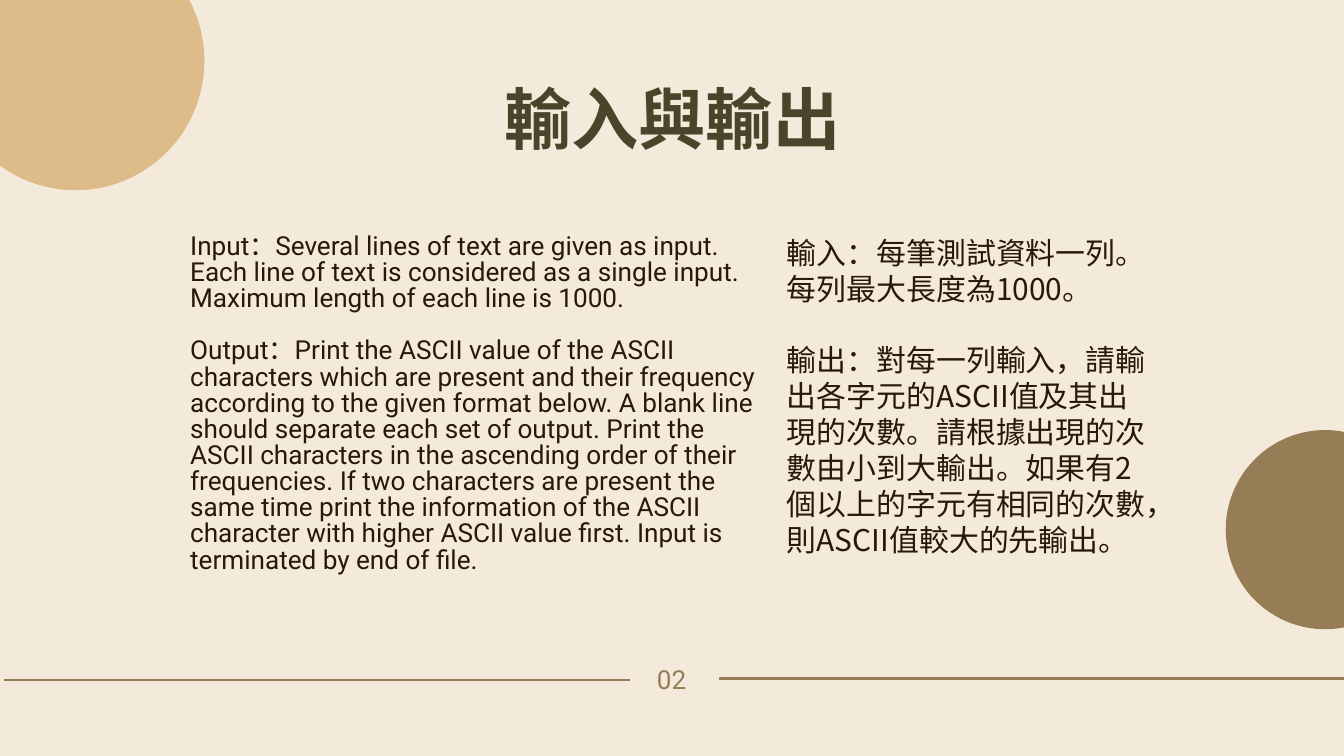
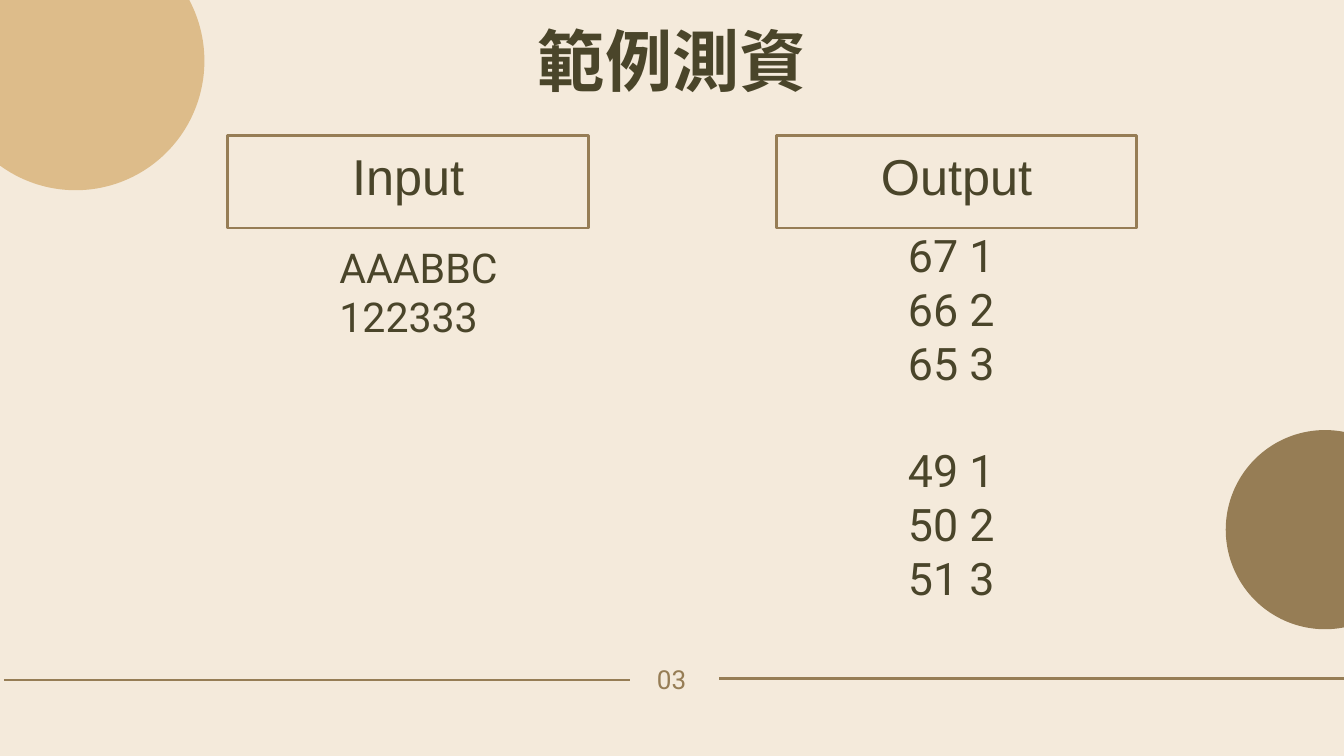
from dataclasses import dataclass
from lxml import etree
from pptx import Presentation
from pptx.dml.color import RGBColor
from pptx.enum.shapes import MSO_CONNECTOR, MSO_SHAPE
from pptx.enum.text import PP_ALIGN
from pptx.oxml.ns import qn
from pptx.util import Pt

LEFT, MID = PP_ALIGN.LEFT, PP_ALIGN.CENTER
OVAL, RECT = MSO_SHAPE.OVAL, MSO_SHAPE.RECTANGLE
STRAIGHT = MSO_CONNECTOR.STRAIGHT


@dataclass(frozen=True)
class Style:
    font: str
    size: int
    color: str
    lead: float  # exact line pitch
    align: int = LEFT
    bold: bool = False


class Theme:
    paper, tan, brown = "F4EADB", "DDBC8A", "967D55"
    olive, ink = "4A452A", "271905"
    stroke = 3
    title = Style("Noto Sans CJK SC", 72, olive, 86.4, MID, True)
    page = Style("Roboto", 28, brown, 28, MID)
    latin = Style("Roboto", 28, ink, 28)
    han = Style("Noto Sans CJK SC", 32, ink, 38.4)
    label = Style("Arial", 54, olive, 36, MID)
    given = Style("Roboto", 44, olive, 52.8)
    result = Style("Roboto", 48, olive, 57.6)


# Content: each text is a list of blocks, each block a list of paragraphs
TASK = {
    "title": "輸入與輸出", "page": "02", "top": 82.8,
    "texts": [
        ((203.8, 251.3, 619.2, 367.2), Theme.latin, [
            ["Input：Several lines of text are given as input. Each line of "
             "text is considered as a single input. Maximum length of each "
             "line is 1000."],
            ["Output：Print the ASCII value of the ASCII characters which are "
             "present and their frequency according to the given format "
             "below. A blank line should separate each set of output. Print "
             "the ASCII characters in the ascending order of their "
             "frequencies. If two characters are present the same time print "
             "the information of the ASCII character with higher ASCII value "
             "first. Input is terminated by end of file."]]),
        ((843.1, 251.3, 389.5, 349.2), Theme.han, [
            ["輸入：每筆測試資料一列。每列最大長度為1000。"],
            ["輸出：對每一列輸入，請輸出各字元的ASCII值及其出現的次數。"
             "請根據出現的次數由小到大輸出。如果有2個以上的字元有相同的次數，"
             "則ASCII值較大的先輸出。"]]),
    ],
}
SAMPLE = {
    "title": "範例測資", "page": "03", "top": 20.9,
    "labels": [(244.1, "Input"), (831.6, "Output")],
    "texts": [
        ((363.6, 259.2, 200.2, 106.6), Theme.given, [["AAABBC", "122333"]]),
        ((972.7, 244.1, 200.2, 406.8), Theme.result,
         [["67 1", "66 2", "65 3"], ["49 1", "50 2", "51 3"]]),
    ],
}
RULES = [(770.4, 727.2, 1440), (4.3, 728.6, 674.6)]  # left, y, right
DISCS = [((1313.3, 460.8, 212.8, 213.4), Theme.brown),
         ((-57, -73.4, 276, 277.2), Theme.tan)]


def rgb(code):
    return RGBColor.from_string(code)


def points(box):
    return [Pt(n) for n in box]


def add_text(slide, box, style, blocks):
    frame = slide.shapes.add_textbox(*points(box)).text_frame
    frame.word_wrap = True
    frame.margin_left = frame.margin_right = 0
    frame.margin_top = frame.margin_bottom = 0
    lines = [(text, b > 0 and i == 0)
             for b, block in enumerate(blocks) for i, text in enumerate(block)]
    for n, (text, gap) in enumerate(lines):
        para = frame.add_paragraph() if n else frame.paragraphs[0]
        para.text = text
        para.alignment = style.align
        para.line_spacing = Pt(style.lead)
        if gap:
            para.space_before = Pt(style.lead)
        font = para.font
        font.name, font.size, font.bold = style.font, Pt(style.size), style.bold
        font.color.rgb = rgb(style.color)
        # East Asian glyphs take the same face
        props = para._p.pPr.find(qn("a:defRPr"))
        etree.SubElement(props, qn("a:ea"), typeface=style.font)


def add_rule(slide, left, y, right):
    rule = slide.shapes.add_connector(STRAIGHT, *points((left, y, right, y)))
    rule.line.color.rgb = rgb(Theme.brown)
    rule.line.width = Pt(Theme.stroke)
    etree.SubElement(rule._element.spPr, qn("a:effectLst"))


def add_disc(slide, box, color):
    disc = slide.shapes.add_shape(OVAL, *points(box))
    disc.shadow.inherit = False
    disc.fill.solid()
    disc.fill.fore_color.rgb = rgb(color)
    disc.line.fill.background()


def add_label(slide, left, text):
    frame = slide.shapes.add_shape(RECT, *points((left, 145.4, 386.3, 99)))
    frame.shadow.inherit = False
    frame.fill.background()
    frame.line.color.rgb = rgb(Theme.brown)
    frame.line.width = Pt(Theme.stroke)
    add_text(slide, (left + 61.2, 184.3, 264.2, 42.5), Theme.label, [[text]])


def add_page(deck, data):
    slide = deck.slides.add_slide(deck.slide_layouts[6])
    slide.background.fill.solid()
    slide.background.fill.fore_color.rgb = rgb(Theme.paper)
    # Footer and corner discs
    for rule in RULES:
        add_rule(slide, *rule)
    add_text(slide, (653, 716.4, 133.2, 28), Theme.page, [[data["page"]]])
    for box, color in DISCS:
        add_disc(slide, box, color)
    # Title, labels and body
    add_text(slide, (339.8, data["top"], 761, 87.1), Theme.title,
             [[data["title"]]])
    for left, text in data.get("labels", []):
        add_label(slide, left, text)
    for box, style, blocks in data["texts"]:
        add_text(slide, box, style, blocks)


def main():
    deck = Presentation()
    deck.slide_width, deck.slide_height = Pt(1440), Pt(810)
    for data in (TASK, SAMPLE):
        add_page(deck, data)
    deck.save("out.pptx")


if __name__ == "__main__":
    main()
